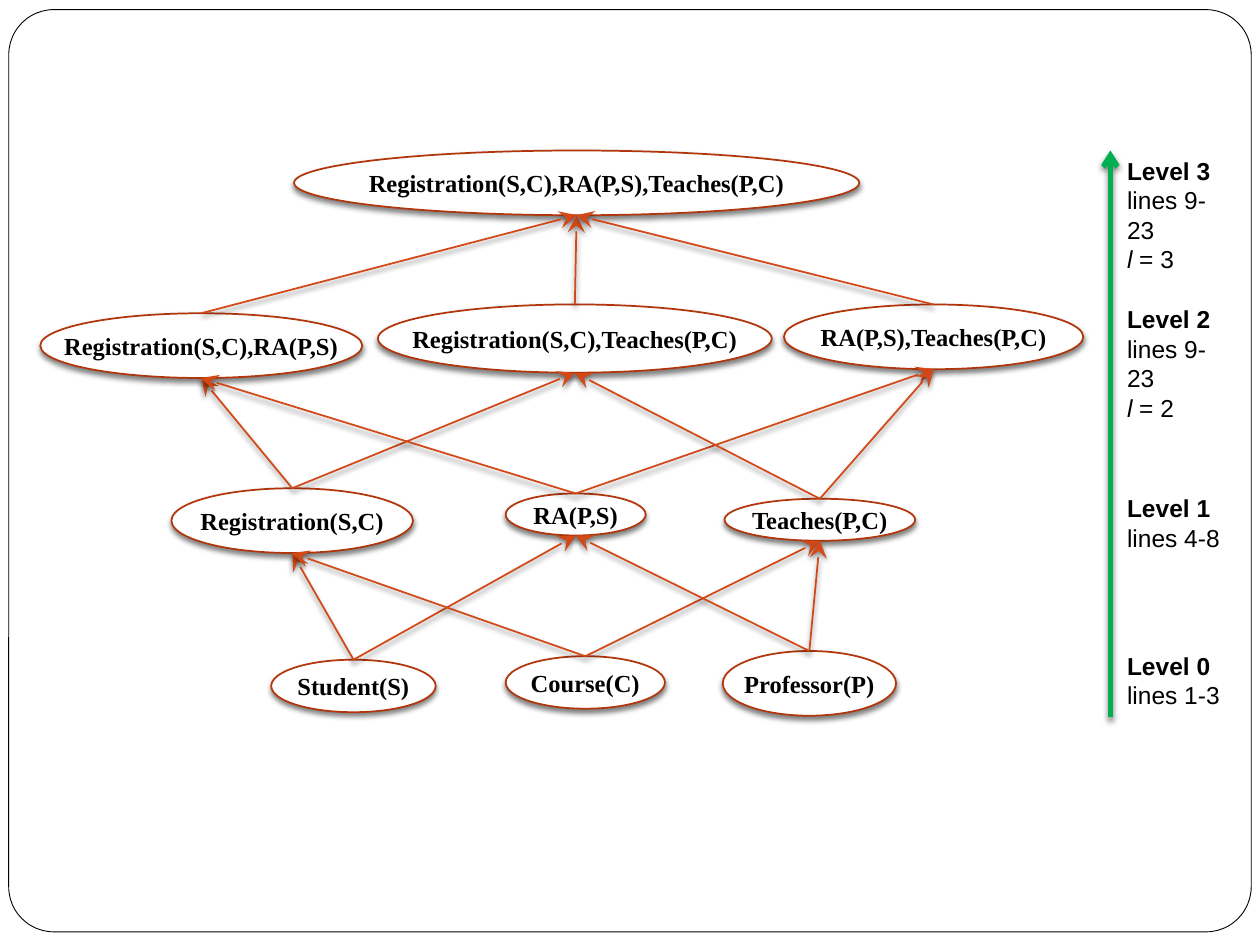
from lxml import etree
from pptx import Presentation
from pptx.dml.color import RGBColor
from pptx.enum import shapes, text
from pptx.oxml import ns
from pptx.util import Pt

COLORS = {
    "paper": "FFFFFF",
    "ink": "000000",
    "node_line": "B1360B",
    "edge": "D34817",
    "level_arrow": "00B050",
}

# Label: left, top, width, height inside the lattice
NODES = {
    "Student(S)": (132, 291, 94, 30),
    "Course(C)": (266, 289, 91, 30),
    "Professor(P)": (390, 286, 99, 37),
    "Registration(S,C)": (75, 193, 138, 37),
    "RA(P,S)": (266, 196, 80, 24),
    "Teaches(P,C)": (391, 199, 109, 24),
    "Registration(S,C),RA(P,S)": (0, 93, 184, 37),
    "Registration(S,C),Teaches(P,C)": (193, 88, 225, 39),
    "RA(P,S),Teaches(P,C)": (425, 88, 171, 37),
    "Registration(S,C),RA(P,S),Teaches(P,C)": (145, 0, 323, 37),
}

# Each node points up to the nodes that contain it
PARENTS = {
    "Student(S)": ["Registration(S,C)", "RA(P,S)"],
    "Course(C)": ["Registration(S,C)", "Teaches(P,C)"],
    "Professor(P)": ["Teaches(P,C)", "RA(P,S)"],
    "Registration(S,C)": ["Registration(S,C),RA(P,S)", "Registration(S,C),Teaches(P,C)"],
    "RA(P,S)": ["Registration(S,C),RA(P,S)", "RA(P,S),Teaches(P,C)"],
    "Teaches(P,C)": ["Registration(S,C),Teaches(P,C)", "RA(P,S),Teaches(P,C)"],
    "Registration(S,C),RA(P,S)": ["Registration(S,C),RA(P,S),Teaches(P,C)"],
    "Registration(S,C),Teaches(P,C)": ["Registration(S,C),RA(P,S),Teaches(P,C)"],
    "RA(P,S),Teaches(P,C)": ["Registration(S,C),RA(P,S),Teaches(P,C)"],
}

# Level, line range, value of l, top inside the scale, height
LEVELS = [
    (3, "9-23", 3, 3, 68),
    (2, "9-23", 2, 88, 68),
    (1, "4-8", None, 196, 34),
    (0, "1-3", None, 286, 34),
]


def color(name):
    return RGBColor.from_string(COLORS[name])


def add_shadow(shape):
    effects = etree.SubElement(shape._element.spPr, ns.qn("a:effectLst"))
    shadow = etree.SubElement(
        effects, ns.qn("a:outerShdw"),
        blurRad=str(Pt(3)), dist=str(Pt(2)), dir="5400000", rotWithShape="0")
    tint = etree.SubElement(shadow, ns.qn("a:srgbClr"), val=COLORS["ink"])
    etree.SubElement(tint, ns.qn("a:alpha"), val="50000")


def add_outlined(slide, kind, box, line_color, line_width):
    shape = slide.shapes.add_shape(kind, *map(Pt, box))
    shape.fill.solid()
    shape.fill.fore_color.rgb = color("paper")
    shape.line.color.rgb = color(line_color)
    shape.line.width = Pt(line_width)
    shape.shadow.inherit = False
    return shape


def add_arrow(slide, start, end, line_color, width, head, size):
    arrow = slide.shapes.add_connector(
        shapes.MSO_CONNECTOR.STRAIGHT, *map(Pt, (*start, *end)))
    arrow.line.color.rgb = color(line_color)
    arrow.line.width = Pt(width)
    etree.SubElement(arrow.line._get_or_add_ln(), ns.qn("a:tailEnd"),
                     type=head, w=size, len=size)
    add_shadow(arrow)


def clear_margins(frame):
    frame.margin_left = frame.margin_right = 0
    frame.margin_top = frame.margin_bottom = 0


def style_font(font, name, bold):
    font.name = name
    font.size = Pt(14)
    font.bold = bold
    font.color.rgb = color("ink")


def add_frame(slide, box):
    frame = add_outlined(slide, shapes.MSO_SHAPE.ROUNDED_RECTANGLE, box, "ink", 0.5)
    frame.adjustments[0] = 0.049


def add_node(slide, box, label):
    node = add_outlined(slide, shapes.MSO_SHAPE.OVAL, box, "node_line", 1)
    node.shadow.inherit = True
    add_shadow(node)
    frame = node.text_frame
    clear_margins(frame)
    frame.word_wrap = False
    frame.vertical_anchor = text.MSO_ANCHOR.MIDDLE
    paragraph = frame.paragraphs[0]
    paragraph.text = label
    paragraph.alignment = text.PP_ALIGN.CENTER
    style_font(paragraph.font, "Times New Roman", True)


def add_lattice(slide, left, top):
    boxes = {label: (left + x, top + y, width, height)
             for label, (x, y, width, height) in NODES.items()}
    for label, box in boxes.items():
        add_node(slide, box, label)
    for child, parents in PARENTS.items():
        x, y, width, _ = boxes[child]
        start = (x + width / 2, y)
        for parent in parents:
            x, y, width, height = boxes[parent]
            add_arrow(slide, start, (x + width / 2, y + height),
                      "edge", 1, "stealth", "lg")


def add_level_label(slide, box, level, lines, length):
    frame = slide.shapes.add_textbox(*map(Pt, box)).text_frame
    clear_margins(frame)
    frame.word_wrap = True
    title = frame.paragraphs[0]
    title.text = f"Level {level}"
    style_font(title.font, "Arial", True)
    line_range = frame.add_paragraph()
    line_range.text = f"lines {lines}"
    style_font(line_range.font, "Arial", False)
    if length is not None:
        equation = frame.add_paragraph()
        style_font(equation.font, "Arial", False)
        variable = equation.add_run()
        variable.text = "l"
        variable.font.italic = True
        equation.add_run().text = f" = {length}"


def add_level_scale(slide, left, top, height):
    add_arrow(slide, (left, top + height), (left, top),
              "level_arrow", 3, "arrow", "med")
    for level, lines, length, y, label_height in LEVELS:
        add_level_label(slide, (left + 9.5, top + y, 53.5, label_height),
                        level, lines, length)


def main():
    presentation = Presentation()
    presentation.slide_width, presentation.slide_height = Pt(720), Pt(540)
    slide = presentation.slides.add_slide(presentation.slide_layouts[6])
    add_frame(slide, (5, 5.5, 710, 527))
    add_lattice(slide, 23, 86)
    add_level_scale(slide, 634.5, 86, 324)
    presentation.save("out.pptx")


if __name__ == "__main__":
    main()
